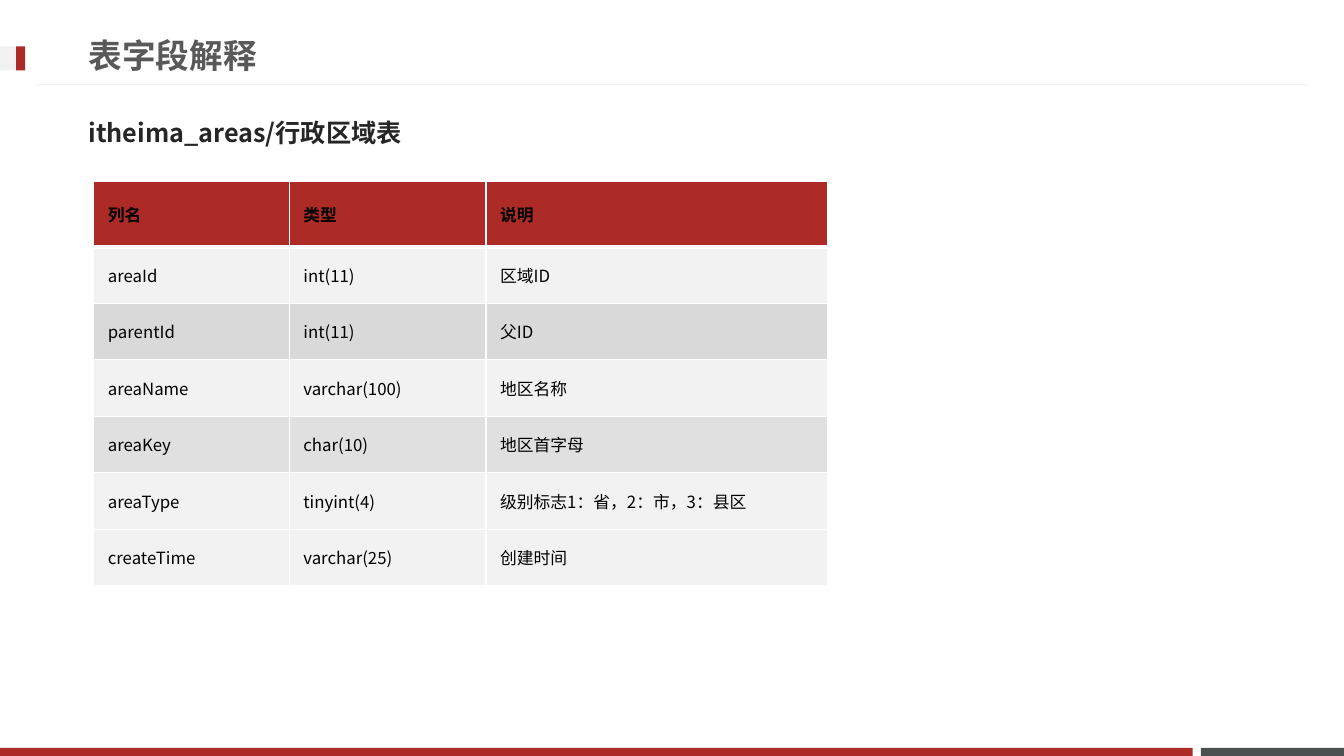
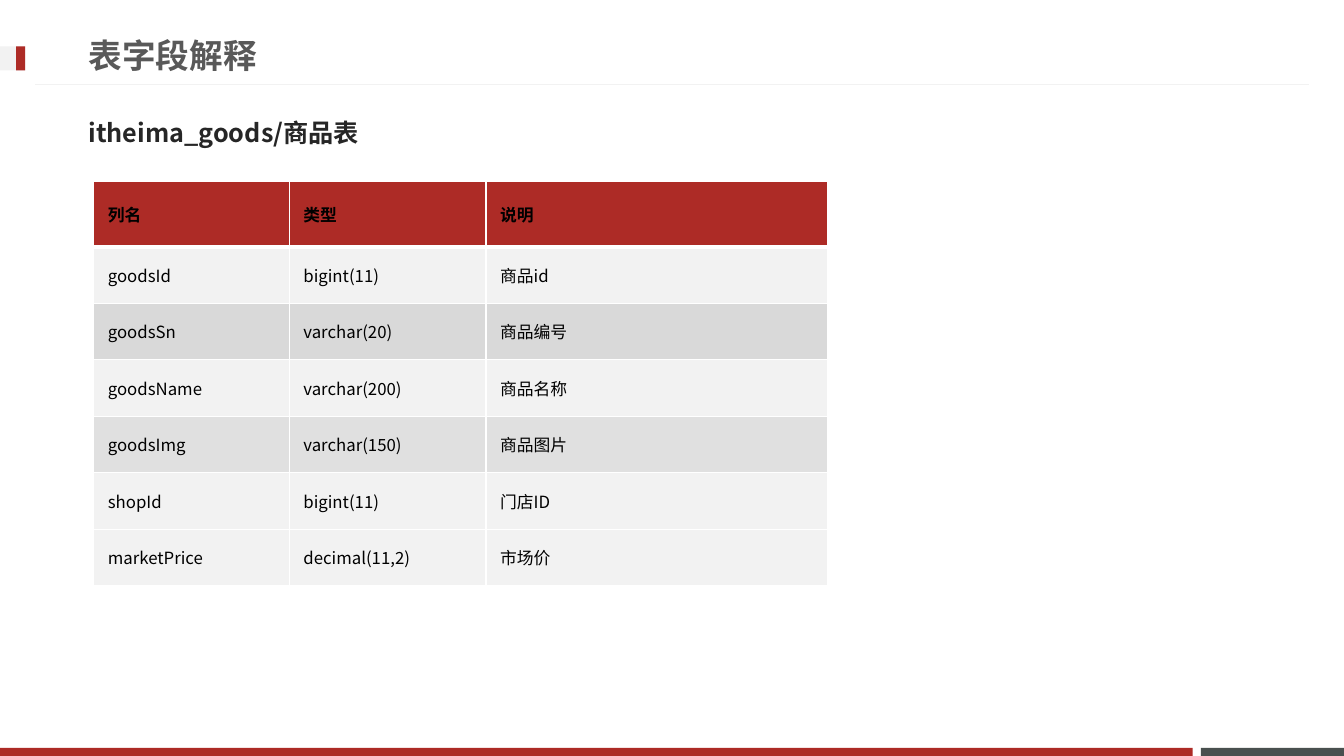
"""Build two slides that explain the fields of database tables."""
from lxml import etree
from pptx import Presentation
from pptx.dml.color import RGBColor
from pptx.enum.shapes import MSO_CONNECTOR, MSO_SHAPE
from pptx.enum.text import MSO_ANCHOR, PP_ALIGN
from pptx.oxml.ns import qn
from pptx.util import Inches, Pt

RECTANGLE = MSO_SHAPE.RECTANGLE
STRAIGHT = MSO_CONNECTOR.STRAIGHT
MIDDLE = MSO_ANCHOR.MIDDLE
LEFT = PP_ALIGN.LEFT
TITLE_ONLY_LAYOUT = 5

COLORS = {
    "red": "AD2B26",
    "slate": "49504F",
    "light": "F2F2F2",
    "band": "D9D9D9",
    "white": "FFFFFF",
    "title": "595959",
    "subtitle": "262626",
    "cell": "000000",
}
TITLE_FONT = "Calibri"
SUBTITLE_FONT = "Noto Sans CJK JP"
TABLE_FONT = "Noto Sans CJK SC"

TITLE = "表字段解释"
HEADER = ("列名", "类型", "说明")
COLUMN_WIDTHS = (1.94, 1.95, 3.39)
HEADER_HEIGHT, ROW_HEIGHT = 0.65, 0.56
ROW_FILLS = ("red", "light", "band", "light", "band", "light", "light")
TRANSLUCENT_ROW, TRANSLUCENT_ALPHA = 4, 80
THIN_BORDER, THICK_BORDER = 1, 3

SLIDES = (
    ("itheima_areas/行政区域表", (
        ("areaId", "int(11)", "区域ID"),
        ("parentId", "int(11)", "父ID"),
        ("areaName", "varchar(100)", "地区名称"),
        ("areaKey", "char(10)", "地区首字母"),
        ("areaType", "tinyint(4)", "级别标志1：省，2：市，3：县区"),
        ("createTime", "varchar(25)", "创建时间"),
    )),
    ("itheima_goods/商品表", (
        ("goodsId", "bigint(11)", "商品id"),
        ("goodsSn", "varchar(20)", "商品编号"),
        ("goodsName", "varchar(200)", "商品名称"),
        ("goodsImg", "varchar(150)", "商品图片"),
        ("shopId", "bigint(11)", "门店ID"),
        ("marketPrice", "decimal(11,2)", "市场价"),
    )),
)


def rgb(name):
    """Return the named colour."""
    return RGBColor.from_string(COLORS[name])


def write_text(text_frame, text, font_name, size, color, bold):
    """Put one left-aligned, formatted paragraph in a text frame."""
    text_frame.word_wrap = True
    text_frame.vertical_anchor = MIDDLE
    paragraph = text_frame.paragraphs[0]
    paragraph.text = text
    paragraph.alignment = LEFT
    font = paragraph.font
    font.name, font.size, font.bold = font_name, Pt(size), bold
    font.color.rgb = rgb(color)
    properties = paragraph._p.pPr.find(qn("a:defRPr"))
    etree.SubElement(properties, qn("a:ea"), typeface=font_name)


def add_bar(slide, left, top, width, height, color):
    """Add a plain filled rectangle."""
    shape = slide.shapes.add_shape(
        RECTANGLE, Inches(left), Inches(top), Inches(width), Inches(height))
    shape.shadow.inherit = False
    shape.fill.solid()
    shape.fill.fore_color.rgb = rgb(color)
    shape.line.fill.background()


def add_rule(slide):
    """Add the thin line below the title."""
    line = slide.shapes.add_connector(
        STRAIGHT, Inches(12.98), Inches(0.84), Inches(0.35), Inches(0.84))
    line.line.color.rgb = rgb("light")
    line.line.width = Pt(0.75)
    etree.SubElement(line._element.spPr, qn("a:effectLst"))


def add_frame(slide):
    """Add the footer bars, title rule and title marker."""
    add_bar(slide, 11.91, 7.42, 1.42, 0.08, "slate")
    add_bar(slide, 0, 7.42, 11.83, 0.08, "red")
    add_rule(slide)
    add_bar(slide, 0, 0.46, 0.25, 0.24, "light")
    add_bar(slide, 0.16, 0.46, 0.09, 0.24, "red")


def add_title(slide):
    """Place and format the title placeholder."""
    title = slide.shapes.title
    title.left, title.top = Inches(0.78), Inches(0.26)
    title.width, title.height = Inches(9.59), Inches(0.57)
    write_text(title.text_frame, TITLE, TITLE_FONT, 24, "title", True)


def add_subtitle(slide, text):
    """Add the table name below the title."""
    box = slide.shapes.add_textbox(
        Inches(0.78), Inches(1.03), Inches(11.7), Inches(0.57))
    write_text(box.text_frame, text, SUBTITLE_FONT, 18, "subtitle", True)


def set_borders(cell, top, bottom):
    """Draw white borders, with the given top and bottom widths."""
    widths = {"lnL": THIN_BORDER, "lnR": THIN_BORDER, "lnT": top, "lnB": bottom}
    properties = cell._tc.get_or_add_tcPr()
    for position, (side, width) in enumerate(widths.items()):
        border = etree.Element(qn(f"a:{side}"), w=str(Pt(width)))
        fill = etree.SubElement(border, qn("a:solidFill"))
        etree.SubElement(fill, qn("a:srgbClr"), val=COLORS["white"])
        properties.insert(position, border)


def format_cell(cell, text, row_number):
    """Fill in a table cell and style it for its row."""
    cell.margin_left = cell.margin_right = Inches(0.14)
    cell.margin_top = cell.margin_bottom = Inches(0.06)
    cell.vertical_anchor = MIDDLE
    write_text(cell.text_frame, text, TABLE_FONT, 12, "cell", row_number == 0)
    cell.fill.solid()
    cell.fill.fore_color.rgb = rgb(ROW_FILLS[row_number])
    if row_number == TRANSLUCENT_ROW:
        color = cell._tc.tcPr.find(qn("a:solidFill"))[0]
        etree.SubElement(color, qn("a:alpha"), val=str(TRANSLUCENT_ALPHA * 1000))
    set_borders(cell,
                top=THICK_BORDER if row_number == 1 else THIN_BORDER,
                bottom=THICK_BORDER if row_number == 0 else THIN_BORDER)


def add_field_table(slide, fields):
    """Add the table of fields with its header row."""
    rows = (HEADER, *fields)
    height = HEADER_HEIGHT + ROW_HEIGHT * len(fields)
    table = slide.shapes.add_table(
        len(rows), len(HEADER), Inches(0.93), Inches(1.8),
        Inches(sum(COLUMN_WIDTHS)), Inches(height)).table
    table.first_row = table.horz_banding = False
    for column, width in zip(table.columns, COLUMN_WIDTHS):
        column.width = Inches(width)
    for row_number, texts in enumerate(rows):
        row = table.rows[row_number]
        row.height = Inches(ROW_HEIGHT if row_number else HEADER_HEIGHT)
        for cell, text in zip(row.cells, texts):
            format_cell(cell, text, row_number)


def main():
    """Build and save the presentation."""
    presentation = Presentation()
    presentation.slide_width = Inches(13.33)
    presentation.slide_height = Inches(7.5)
    layout = presentation.slide_layouts[TITLE_ONLY_LAYOUT]
    for subtitle, fields in SLIDES:
        slide = presentation.slides.add_slide(layout)
        add_frame(slide)
        add_title(slide)
        add_subtitle(slide, subtitle)
        add_field_table(slide, fields)
    presentation.save("out.pptx")


if __name__ == "__main__":
    main()
